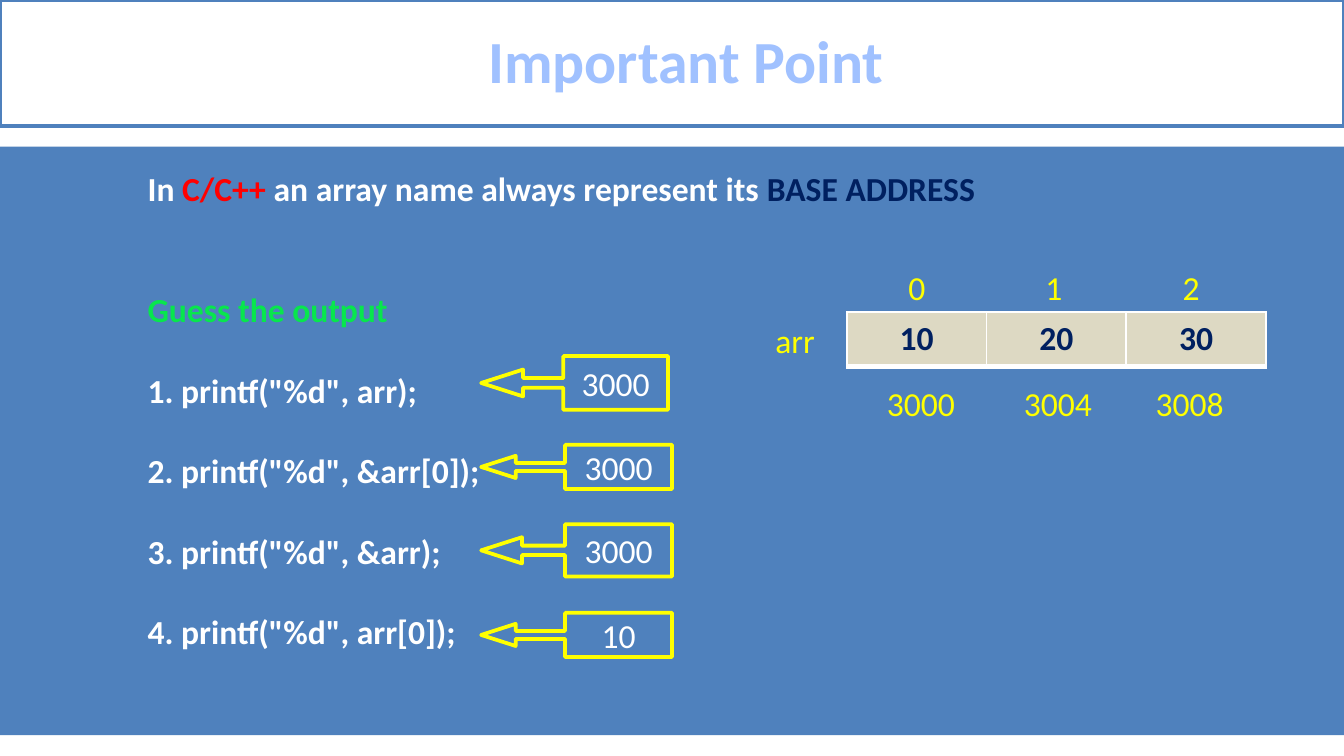
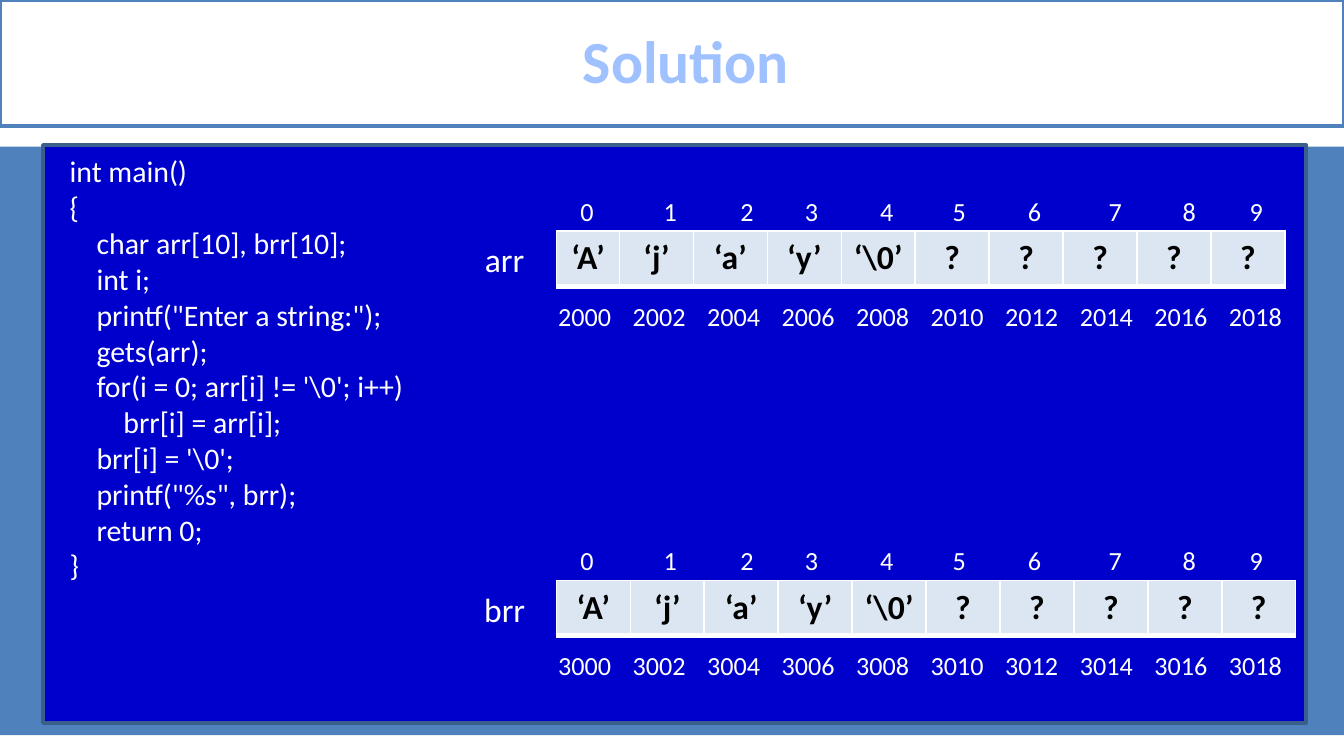
from dataclasses import dataclass

import pptx
import pptx.dml.color
import pptx.enum.shapes
import pptx.enum.text
import pptx.oxml
import pptx.oxml.ns
import pptx.util

Inches = pptx.util.Inches
Pt = pptx.util.Pt
SHAPE = pptx.enum.shapes.MSO_SHAPE
ALIGN = pptx.enum.text.PP_ALIGN
ANCHOR = pptx.enum.text.MSO_ANCHOR


@dataclass(frozen=True)
class Theme:
    font: str = "Calibri"
    white: str = "FFFFFF"
    black: str = "000000"
    band: str = "4F81BD"
    title: str = "A0C1FF"
    navy: str = "002060"
    red: str = "FF0000"
    green: str = "08E64D"
    yellow: str = "FFFF00"
    panel: str = "0000CC"
    panel_line: str = "3A5F8C"
    sand: str = "DDD9C3"
    ice: str = "DCE6F2"
    title_size: int = 32
    body_size: int = 18
    code_size: int = 16
    label_size: int = 14


THEME = Theme()


def rgb(code):
    return pptx.dml.color.RGBColor.from_string(code)


def write(frame, lines, *, size=THEME.body_size, color=THEME.white, bold=False,
          align=ALIGN.LEFT, anchor=ANCHOR.TOP, indent=0, gaps=(), line_spacing=None):
    """Fill a frame; a line is a string or a list of (text, color) spans."""
    frame.word_wrap = True
    frame.vertical_anchor = anchor
    for number, line in enumerate(lines):
        para = frame.paragraphs[0] if number == 0 else frame.add_paragraph()
        para.alignment = align
        if indent:
            para._p.get_or_add_pPr().set("marL", str(Inches(indent)))
        if line_spacing:
            para.line_spacing = line_spacing
        if gaps:
            para.space_before = Pt(gaps[number])
        spans = [(line, color)] if isinstance(line, str) else line
        for text, span_color in spans:
            span = para.add_run()
            span.text = text
            span.font.name = THEME.font
            span.font.size = Pt(size)
            span.font.bold = bold
            span.font.color.rgb = rgb(span_color)


def add_text(page, left, top, width, height, lines, **style):
    box = page.shapes.add_textbox(Inches(left), Inches(top), Inches(width), Inches(height))
    write(box.text_frame, lines, **style)


def add_block(page, kind, left, top, width, height, fill, line=None):
    block = page.shapes.add_shape(kind, Inches(left), Inches(top), Inches(width), Inches(height))
    block.shadow.inherit = False
    block.fill.solid()
    block.fill.fore_color.rgb = rgb(fill)
    if line:
        block.line.color.rgb = rgb(line)
        block.line.width = Pt(2)
    else:
        block.line.fill.background()
    return block


def add_callout(page, top, width, height, text):
    callout = add_block(page, SHAPE.LEFT_ARROW_CALLOUT, 3.58, top, width, height,
                        THEME.band, THEME.yellow)
    for number, value in enumerate((0.18, 0.25, 0.78, 0.56)):
        callout.adjustments[number] = value
    write(callout.text_frame, [text], align=ALIGN.CENTER, anchor=ANCHOR.MIDDLE)


def add_borders(cell):
    properties = cell._tc.get_or_add_tcPr()
    for side, points in (("L", 1), ("R", 1), ("T", 1), ("B", 3)):
        properties.append(pptx.oxml.parse_xml(
            f'<a:ln{side} {pptx.oxml.ns.nsdecls("a")} w="{Pt(points)}"><a:solidFill>'
            f'<a:srgbClr val="{THEME.white}"/></a:solidFill></a:ln{side}>'))


def add_array(page, left, top, widths, values, *, fill, color, side_inset):
    height = Inches(0.41)
    table = page.shapes.add_table(1, len(values), Inches(left), Inches(top),
                                  Inches(sum(widths)), height).table
    table.first_row = False
    table.horz_banding = False
    table.rows[0].height = height
    for number, (width, value) in enumerate(zip(widths, values)):
        table.columns[number].width = Inches(width)
        cell = table.cell(0, number)
        add_borders(cell)
        cell.fill.solid()
        cell.fill.fore_color.rgb = rgb(fill)
        cell.margin_left = cell.margin_right = Inches(side_inset)
        cell.margin_top = cell.margin_bottom = Inches(0.05)
        write(cell.text_frame, [value], color=color, bold=True, align=ALIGN.CENTER)


def add_page(deck, title):
    page = deck.slides.add_slide(deck.slide_layouts[6])
    add_block(page, SHAPE.RECTANGLE, 0, 1.09, 10, 4.38, THEME.band)
    header = add_block(page, SHAPE.RECTANGLE, 0, 0, 10, 0.94, THEME.white, THEME.band)
    write(header.text_frame, [title], size=THEME.title_size, color=THEME.title, bold=True,
          align=ALIGN.CENTER, anchor=ANCHOR.MIDDLE, indent=0.21, line_spacing=0.96)
    return page


def build_important_point(deck):
    page = add_page(deck, "Important Point")

    # Statement and questions
    line_gap = 21.6
    add_text(page, 0, 1.2, 10, 3.74, [
        [("In ", THEME.white), ("C/C++ ", THEME.red),
         ("an array name always represent its ", THEME.white), ("BASE ADDRESS", THEME.navy)],
        [("Guess the output", THEME.green)],
        '1. printf("%d", arr);',
        '2. printf("%d", &arr[0]);',
        '3. printf("%d", &arr);',
        '4. printf("%d", arr[0]);',
    ], bold=True, indent=1, gaps=[0, 2 * line_gap] + [line_gap] * 4)

    # Answers
    for top, width, height, answer in ((2.65, 1.39, 0.4, "3000"), (3.31, 1.42, 0.33, "3000"),
                                       (3.9, 1.42, 0.39, "3000"), (4.56, 1.42, 0.33, "10")):
        add_callout(page, top, width, height, answer)

    # Array with its indexes above and addresses below
    add_text(page, 5.67, 2.33, 0.51, 0.4, ["arr"], color=THEME.yellow)
    add_array(page, 6.3, 2.32, [1.04] * 3, ["10", "20", "30"],
              fill=THEME.sand, color=THEME.navy, side_inset=0.05)
    for index, left in enumerate((6.5, 7.52, 8.5)):
        add_text(page, 6.66 + 1.02 * index, 1.94, 0.42, 0.4, [str(index)], color=THEME.yellow)
        add_text(page, left, 2.8, 0.75, 0.4, [str(3000 + 4 * index)], color=THEME.yellow)


def add_char_array(page, name, top, first_width, first_address):
    centered = dict(align=ALIGN.CENTER, anchor=ANCHOR.MIDDLE)
    add_array(page, 4.14, top, [first_width] + [0.55] * 9,
              ["‘A’", "‘j’", "‘a’", "‘y’", "‘\\0’"] + ["?"] * 5,
              fill=THEME.ice, color=THEME.black, side_inset=0.08)
    add_text(page, 3.5, top + 0.01, 0.51, 0.4, [name], **centered)
    index_lefts = (4.22, 4.84, 5.41, 5.89, 6.45, 6.99, 7.55, 8.15, 8.7, 9.2)
    address_step = (9.03 - 4.04) / 9
    for index, left in enumerate(index_lefts):
        add_text(page, 4.04 + address_step * index, top + 0.46, 0.62, 0.34,
                 [str(first_address + 2 * index)], size=THEME.label_size, **centered)
        add_text(page, left, top - 0.32, 0.29, 0.34, [str(index)],
                 size=THEME.label_size, **centered)


def build_solution(deck):
    page = add_page(deck, "Solution")
    add_block(page, SHAPE.RECTANGLE, 0.32, 1.08, 9.4, 4.3, THEME.panel, THEME.panel_line)

    # Program
    add_text(page, -0.08, 1.09, 4.84, 3.33, [
        "int main()",
        "{",
        "    char arr[10], brr[10];",
        "    int i;",
        '    printf("Enter a string:");',
        "    gets(arr);",
        "    for(i = 0; arr[i] != '\\0'; i++)",
        "        brr[i] = arr[i];",
        "    brr[i] = '\\0';",
        '    printf("%s", brr);',
        "    return 0;",
        "}",
    ], size=THEME.code_size, indent=0.5)

    # Source and copied arrays
    add_char_array(page, "arr", 1.72, 0.47, 2000)
    add_char_array(page, "brr", 4.32, 0.55, 3000)


def main():
    deck = pptx.Presentation()
    deck.slide_width = Inches(10)
    deck.slide_height = Inches(10 * 9 / 16)
    build_important_point(deck)
    build_solution(deck)
    deck.save("out.pptx")


if __name__ == "__main__":
    main()
